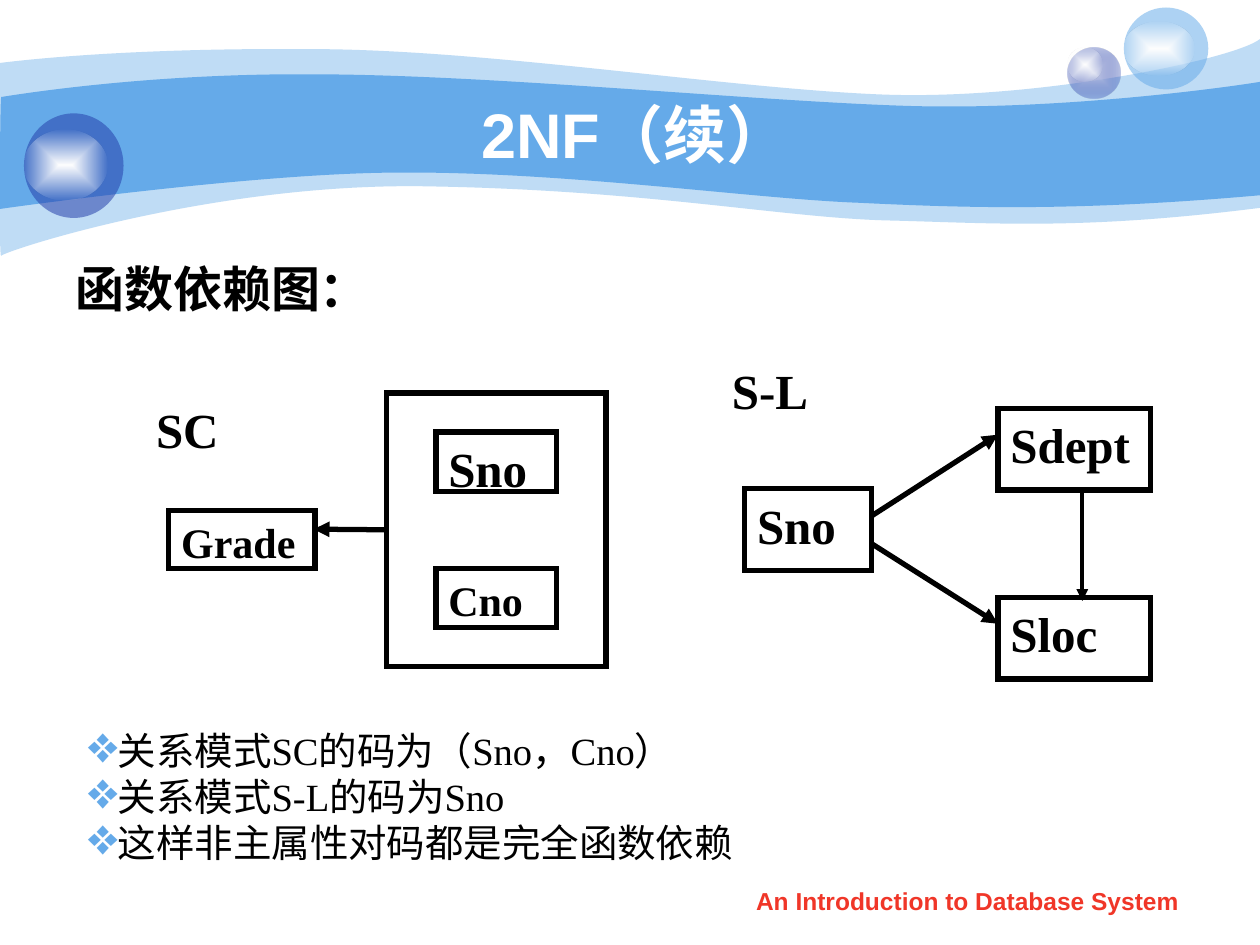
from lxml.etree import SubElement as Sub
from pptx import Presentation
from pptx.dml.color import RGBColor as RGB
from pptx.enum.shapes import MSO_CONNECTOR as Link, MSO_SHAPE as Shape
from pptx.enum.text import MSO_ANCHOR as Anchor, MSO_AUTO_SIZE as Fit, PP_ALIGN as Align
from pptx.oxml import parse_xml
from pptx.oxml.ns import nsdecls, qn
from pptx.util import Inches, Pt

HUES = {"sky": "65AAE9", "navy": "233DA9", "pale": "C6CCE8", "white": "FFFFFF",
        "glow": "FEFEFE", "ink": "000000", "red": "F03628"}
SANS, SERIF = "Arial", "Times New Roman"
WASH = [(0, 0.5),
        (0.24, 0.47, 1.07, 0.38, 2.47, 0.39), (3.86, 0.39, 5.75, 0.7, 6.99, 0.75),
        (8.22, 0.8, 9.8, 0.47, 10, 0.31), (10, 1.65),
        (8.58, 1.83, 7.87, 1.77, 7.05, 1.75), (6.22, 1.73, 5.15, 1.51, 3.43, 1.48),
        (1.72, 1.44, 0.04, 1.99, 0.01, 2.03), (-0.01, 2.08, 0, 0.75, 0, 0.5)]
BAND = [(0.01, 0.77),
        (0.02, 0.77, 1.1, 0.58, 2.48, 0.59), (3.86, 0.59, 5.95, 0.8, 7.18, 0.84),
        (8.41, 0.88, 9.76, 0.69, 10, 0.65), (10, 1.55),
        (8.53, 1.68, 7.65, 1.65, 6.82, 1.61), (5.99, 1.58, 4.47, 1.36, 3.17, 1.37),
        (2.03, 1.37, -0.02, 1.66, -0.01, 1.66), (0, 1.66, 0, 0.77, 0.01, 0.77)]


def paint(shape, hue, alpha=100):
    """Fill a shape with a flat, possibly clear, colour and no line."""
    shape.shadow.inherit = False
    shape.line.fill.background()
    shape.fill.solid()
    shape.fill.fore_color.rgb = RGB.from_string(HUES[hue])
    if alpha < 100:
        tint = shape.fill._xPr.find(qn("a:solidFill"))[0]
        Sub(tint, qn("a:alpha"), val=str(alpha * 1000))


def shade(shape, core, rim, alpha):
    """Fill a shape from its centre out to a clear rim."""
    paint(shape, core)
    flat = shape.fill._xPr.find(qn("a:solidFill"))
    flat.getparent().replace(flat, parse_xml(
        f'<a:gradFill {nsdecls("a")} rotWithShape="1"><a:gsLst>'
        f'<a:gs pos="0"><a:srgbClr val="{HUES[core]}"/></a:gs>'
        f'<a:gs pos="100000"><a:srgbClr val="{HUES[rim]}">'
        f'<a:alpha val="{alpha * 1000}"/></a:srgbClr></a:gs></a:gsLst>'
        '<a:path path="rect"><a:fillToRect l="50000" t="50000" r="50000" b="50000"/>'
        '</a:path></a:gradFill>'))


def wave(slide, steps, alpha=100):
    """Draw one curved strip of the banner."""
    steps = [[round(v * 100) for v in step] for step in steps]
    ends = [step[-2:] for step in steps]
    left, top = map(min, zip(*ends))
    pen = slide.shapes.build_freeform(*ends[0], scale=Inches(0.01))
    pen.add_line_segments(ends[1:], close=True)
    strip = pen.convert_to_shape()
    for part, step in zip(list(strip._element.iter(qn("a:lnTo"))), steps[1:]):
        if len(step) == 6:
            curve = parse_xml(f'<a:cubicBezTo {nsdecls("a")}/>')
            for x, y in zip(step[::2], step[1::2]):
                Sub(curve, qn("a:pt"), x=str(x - left), y=str(y - top))
            part.getparent().replace(part, curve)
    paint(strip, "sky", alpha)


def oval(slide, x, y, w, h):
    """Add a bare ellipse."""
    return slide.shapes.add_shape(Shape.OVAL, Inches(x), Inches(y), Inches(w), Inches(h))


def ball(slide, box, shine, hue, core=None):
    """Draw a glass ball with its shine."""
    x, y, w, h = box
    disc = oval(slide, *box)
    if core:
        shade(disc, core, hue, 31)
    else:
        paint(disc, hue, 53)
    dy, sw, sh = shine
    shade(oval(slide, x, y + dy, sw, sh), "white", "glow", 0)


def banner(slide):
    """Draw the waves and the three balls."""
    wave(slide, WASH, 41)
    wave(slide, BAND)
    ball(slide, (8.47, 0.38, 0.42, 0.4), (0, 0.28, 0.27), "navy", "pale")
    ball(slide, (8.92, 0.06, 0.67, 0.65), (0.11, 0.56, 0.43), "sky")
    ball(slide, (0.19, 0.9, 0.79, 0.83), (0.13, 0.66, 0.56), "navy")


def style(par, size, face, hue="ink", bold=True, align=Align.LEFT):
    """Set the look of one paragraph."""
    par.alignment = align
    font = par.font
    font.size, font.name, font.bold = Pt(size), face, bold
    font.color.rgb = RGB.from_string(HUES[hue])


def label(slide, box, text, size, face=SERIF, hue="ink", align=Align.LEFT,
          anchor=Anchor.TOP):
    """Add a bold line of text."""
    frame = slide.shapes.add_textbox(*map(Inches, box)).text_frame
    frame.word_wrap, frame.vertical_anchor = True, anchor
    frame.text = text
    style(frame.paragraphs[0], size, face, hue, align=align)


def stroke(line, width):
    """Set a black line with sharp corners."""
    line.color.rgb = RGB.from_string(HUES["ink"])
    line.width = Pt(width)
    Sub(line._get_or_add_ln(), qn("a:miter"), lim="800000")


def node(slide, box, text="", size=28):
    """Draw an outlined box, with a name if one is given."""
    shape = slide.shapes.add_shape(Shape.RECTANGLE, *map(Inches, box))
    shape.shadow.inherit = False
    shape.fill.background()
    stroke(shape.line, 3)
    if text:
        frame = shape.text_frame
        frame.vertical_anchor = Anchor.TOP
        frame.text = text
        style(frame.paragraphs[0], size, SERIF)
    return shape


def arrow(slide, start, end, width=3):
    """Draw a line with a head at its end."""
    link = slide.shapes.add_connector(Link.STRAIGHT, *map(Inches, (*start, *end)))
    stroke(link.line, width)
    Sub(link.line._get_or_add_ln(), qn("a:tailEnd"), type="triangle")
    Sub(link._element.spPr, qn("a:effectLst"))
    return link


def course(slide, x, y):
    """Draw the SC graph from its top left corner."""
    key = node(slide, (x + 1.93, y, 1.74, 2.17))
    for name, dy, size in (("Sno", 0.31, 28), ("Cno", 1.39, 24)):
        node(slide, (x + 2.32, y + dy, 0.96, 0.47), name, size)
    node(slide, (x + 0.2, y + 0.93, 1.16, 0.46), "Grade", 24)
    arrow(slide, (x + 1.93, y + 1.08), (x + 1.35, y + 1.08)).begin_connect(key, 1)
    label(slide, (x, y, 0.97, 0.46), "SC", 28)


def student(slide, x, y):
    """Draw the S-L graph from its top left corner."""
    label(slide, (x, y, 1.21, 0.65), "S-L", 28)
    node(slide, (x + 0.2, y + 1.07, 1.01, 0.65), "Sno")
    for name, dy, out in (("Sdept", 0.43, 1.29), ("Sloc", 1.93, 1.5)):
        node(slide, (x + 2.21, y + dy, 1.21, 0.65), name)
        arrow(slide, (x + 1.2, y + out), (x + 2.21, y + dy + 0.21))
    arrow(slide, (x + 2.88, y + 1.1), (x + 2.88, y + 1.96), 2.25)


def notes(slide, box, lines):
    """List the findings with diamond bullets."""
    frame = slide.shapes.add_textbox(*map(Inches, box)).text_frame
    frame.word_wrap, frame.vertical_anchor = False, Anchor.MIDDLE
    frame.auto_size = Fit.SHAPE_TO_FIT_TEXT
    frame.text = "\n".join(lines)
    for par in frame.paragraphs:
        props = par._p.get_or_add_pPr()
        Sub(Sub(props, qn("a:buClr")), qn("a:srgbClr"), val=HUES["sky"])
        Sub(props, qn("a:buSzPct"), val="135000")
        Sub(props, qn("a:buChar"), char="❖")
        style(par, 22, SERIF, bold=False)


def main():
    """Build and save the slide."""
    deck = Presentation()
    deck.slide_width, deck.slide_height = Inches(10), Inches(7.5)
    slide = deck.slides.add_slide(deck.slide_layouts[6])
    banner(slide)
    label(slide, (1, 0.75, 8.08, 0.62), "2NF（续）", 36, SANS, "white",
          Align.CENTER, Anchor.MIDDLE)
    label(slide, (0.5, 2, 9, 4.92), "函数依赖图：", 28, SANS)
    course(slide, 1.14, 3.12)
    student(slide, 5.71, 2.81)
    notes(slide, (0.6, 5.72, 5.41, 1.2),
          ("关系模式SC的码为（Sno，Cno）", "关系模式S-L的码为Sno",
           "这样非主属性对码都是完全函数依赖"))
    label(slide, (5.71, 6.98, 3.94, 0.35), "An Introduction to Database System",
          14, SANS, "red", Align.CENTER)
    deck.save("out.pptx")


if __name__ == "__main__":
    main()
